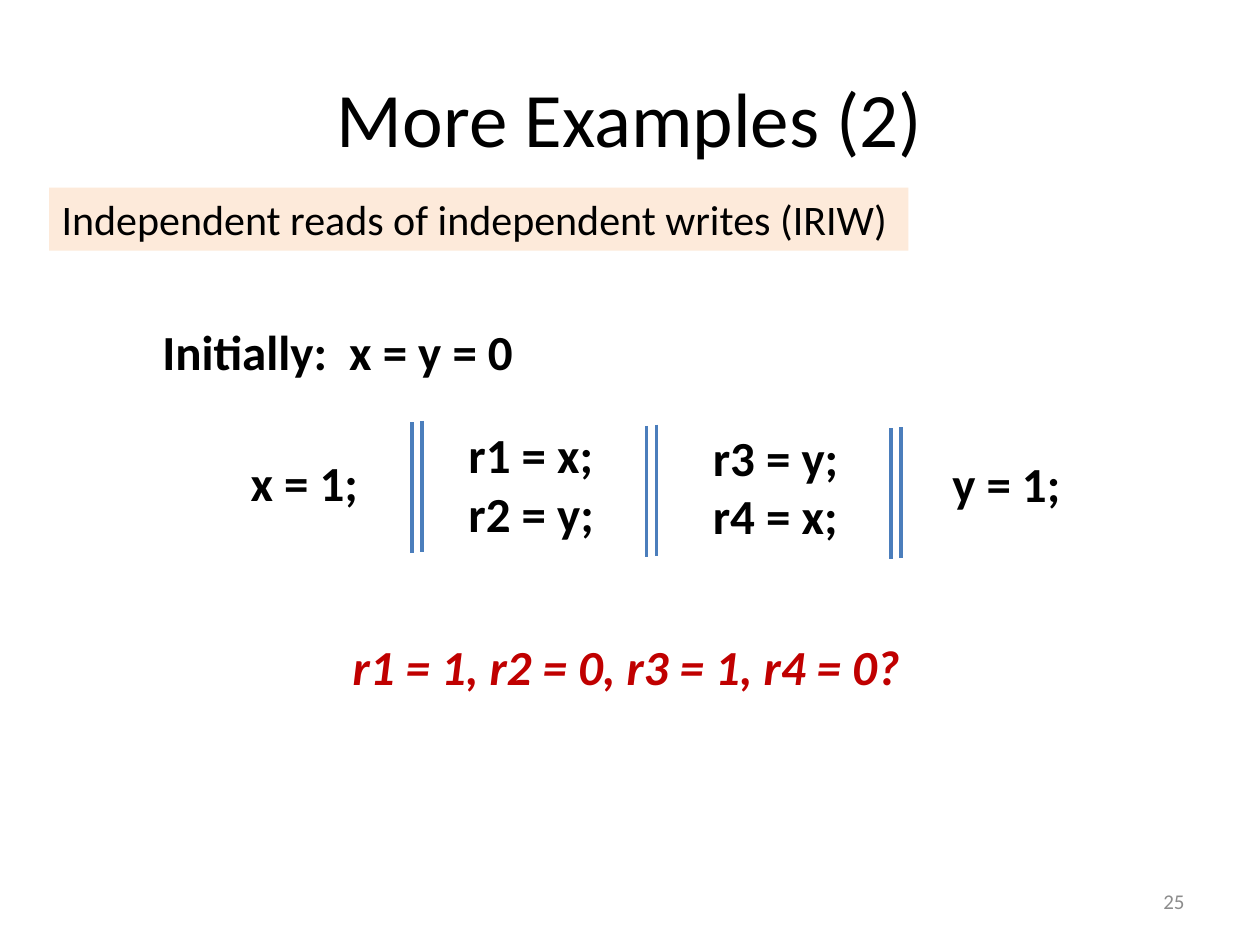
from lxml import etree
from pptx import Presentation
from pptx import util as u
from pptx.dml.color import RGBColor
from pptx.enum import shapes, text
from pptx.oxml.ns import qn

BLACK, RED, GREY = "000000", "C00000", "8C8C8C"
PEACH, BLUE = "FDEADA", "4B7EBC"


def color(code):
    return RGBColor.from_string(code)


def style(frame, size, code, bold=False, italic=False, align=text.PP_ALIGN.LEFT):
    for para in frame.paragraphs:
        para.alignment = align
        for run in para.runs:
            font = run.font
            font.name, font.size = "Calibri", u.Pt(size)
            font.bold, font.italic = bold, italic
            font.color.rgb = color(code)


def place(shape, box):
    shape.left, shape.top, shape.width, shape.height = map(u.Inches, box)


def title(slide, box, words):
    head = slide.shapes.title
    place(head, box)
    frame = head.text_frame
    frame.text = words
    frame.vertical_anchor = text.MSO_ANCHOR.MIDDLE
    style(frame, 44, BLACK, align=text.PP_ALIGN.CENTER)


def label(slide, box, words, code=BLACK, italic=False):
    frame = slide.shapes.add_textbox(*map(u.Inches, box)).text_frame
    frame.word_wrap = True
    frame.text = words
    style(frame, 28, code, True, italic)


def banner(slide, box, words):
    rect = slide.shapes.add_shape(shapes.MSO_SHAPE.RECTANGLE, *map(u.Inches, box))
    rect.shadow.inherit = False
    rect.fill.solid()
    rect.fill.fore_color.rgb = color(PEACH)
    rect.line.fill.background()
    frame = rect.text_frame
    frame.word_wrap = False
    frame.vertical_anchor = text.MSO_ANCHOR.TOP
    frame.text = words
    style(frame, 24, BLACK)


def bars(slide, box):
    left, top, width, height = box
    group = slide.shapes.add_group_shape()
    for x, y in ((left, top + 0.01), (left + width, top)):
        ends = map(u.Inches, (x, y, x, y + height))
        line = group.shapes.add_connector(shapes.MSO_CONNECTOR.STRAIGHT, *ends)
        line.line.color.rgb = color(BLUE)
        line.line.width = u.Pt(2)
        etree.SubElement(line._element.spPr, qn("a:effectLst"))


def number(slide, box, words):
    frame = slide.shapes.add_textbox(*map(u.Inches, box)).text_frame
    frame.word_wrap = True
    frame.vertical_anchor = text.MSO_ANCHOR.MIDDLE
    frame.text = words
    style(frame, 12, GREY, align=text.PP_ALIGN.RIGHT)


def threads(slide, box):
    left, top, width, height = box
    cells = (
        (0, 0.22, 0.57, "x = 1;"),
        (1.73, 0, height, "r1 = x;\nr2 = y;"),
        (3.67, 0.02, height, "r3 = y;\nr4 = x;"),
        (5.57, 0.23, 0.57, "y = 1;"),
    )
    for x, y, tall, words in cells:
        label(slide, (left + x, top + y, width, tall), words)
    for x, y in ((1.38, 0.02), (3.24, 0.05), (5.18, 0.07)):
        bars(slide, (left + x, top + y, 0.08, height))


def main():
    deck = Presentation()
    deck.slide_width, deck.slide_height = u.Inches(10), u.Inches(7.5)
    slide = deck.slides.add_slide(deck.slide_layouts[5])
    title(slide, (0.5, 0.3, 9, 1.25), "More Examples (2)")
    number(slide, (7.17, 6.95, 2.33, 0.4), "25")
    label(slide, (2.7, 5, 4.76, 0.57), "r1 = 1, r2 = 0, r3 = 1, r4 = 0?", RED, True)
    label(slide, (1.19, 2.5, 4.04, 0.57), "Initially:  x = y = 0")
    banner(slide, (0.39, 1.49, 6.82, 0.5), "Independent reads of independent writes (IRIW)")
    threads(slide, (1.89, 3.32, 1.24, 1.04))
    deck.save("out.pptx")


if __name__ == "__main__":
    main()
